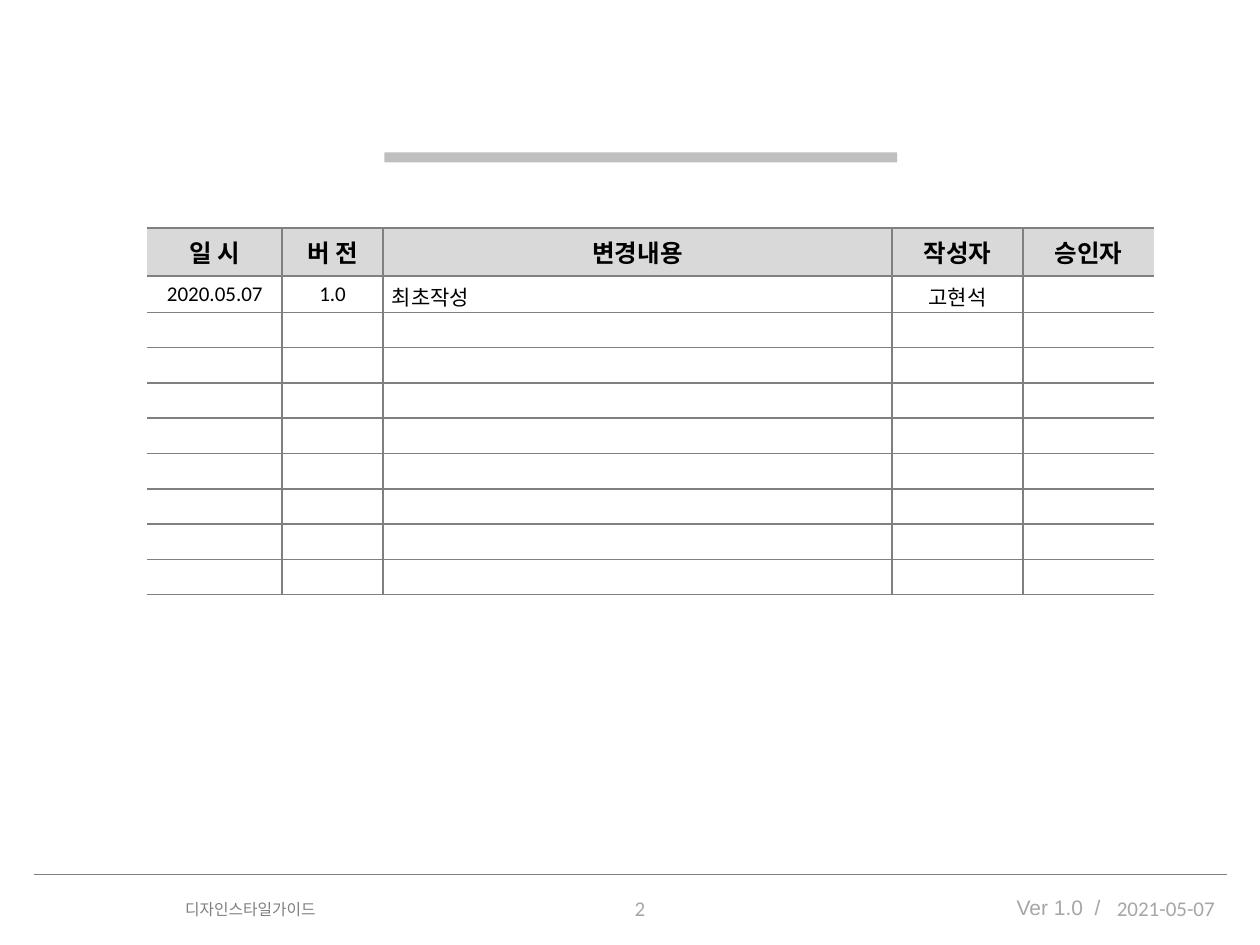
from lxml import etree
from pptx import Presentation
from pptx.dml.color import RGBColor
from pptx.enum.shapes import MSO_CONNECTOR, MSO_SHAPE
from pptx.enum.text import MSO_ANCHOR, PP_ALIGN
from pptx.oxml.ns import qn
from pptx.util import Inches, Pt

LEFT, CENTER, RIGHT = PP_ALIGN.LEFT, PP_ALIGN.CENTER, PP_ALIGN.RIGHT
TOP, MIDDLE = MSO_ANCHOR.TOP, MSO_ANCHOR.MIDDLE
RECTANGLE = MSO_SHAPE.RECTANGLE
STRAIGHT = MSO_CONNECTOR.STRAIGHT

GRAY = "808080"
PALE_GRAY = "A6A6A6"
COLUMN_WIDTHS = [1.07, 0.8, 4.04, 1.04, 1.04]
ROW_HEIGHTS = [0.38, 0.29] + [0.24] * 8
HISTORY = [
    ["일 시", "버 전", "변경내용", "작성자", "승인자"],
    ["2020.05.07", "1.0", "최초작성", "고현석", ""],
]


def color(value):
    return RGBColor.from_string(value)


def format_text(paragraph, size, hue, font="Calibri", bold=False, align=LEFT):
    paragraph.alignment = align
    for span in paragraph.runs:
        span.font.size = Pt(size)
        span.font.name = font
        span.font.bold = bold
        span.font.color.rgb = color(hue)


def add_text(page, text, area, size, hue, font="Calibri", align=LEFT, anchor=TOP):
    box = page.shapes.add_textbox(*map(Inches, area))
    frame = box.text_frame
    frame.word_wrap = True
    frame.vertical_anchor = anchor
    frame.text = text
    format_text(frame.paragraphs[0], size, hue, font, align=align)


def add_bar(page, area, hue, opacity):
    bar = page.shapes.add_shape(RECTANGLE, *map(Inches, area))
    bar.shadow.inherit = False
    bar.fill.solid()
    bar.fill.fore_color.rgb = color(hue)
    bar.line.fill.background()
    fill = bar.fill._xPr.find(qn("a:solidFill"))
    etree.SubElement(fill[0], qn("a:alpha"), val=str(opacity * 1000))


def add_rule(page, left, right, top):
    rule = page.shapes.add_connector(STRAIGHT, *map(Inches, (left, top, right, top)))
    rule.line.color.rgb = color(GRAY)
    rule.line.width = Pt(0.5)
    etree.SubElement(rule._element.spPr, qn("a:effectLst"))


def add_border(cell, side, visible):
    properties = cell._tc.get_or_add_tcPr()
    border = etree.SubElement(properties, qn("a:" + side), w=str(Pt(1)))
    if visible:
        fill = etree.SubElement(border, qn("a:solidFill"))
        etree.SubElement(fill, qn("a:srgbClr"), val=GRAY)
    else:
        etree.SubElement(border, qn("a:noFill"))


def fill_cell(cell, text, header, column):
    last = len(COLUMN_WIDTHS) - 1
    for side, visible in (("lnL", column > 0), ("lnR", column < last), ("lnT", True), ("lnB", True)):
        add_border(cell, side, visible)
    cell.fill.solid()
    cell.fill.fore_color.rgb = color("D9D9D9" if header else "FFFFFF")
    cell.vertical_anchor = MIDDLE
    cell.margin_left = cell.margin_right = Inches(0.07)
    cell.margin_top = cell.margin_bottom = Inches(0.04)
    paragraph = cell.text_frame.paragraphs[0]
    if text:
        paragraph.text = text
        align = CENTER if header or column != 2 else LEFT
        format_text(paragraph, 14 if header else 12, "000000", bold=header, align=align)
    else:
        ending = etree.SubElement(paragraph._p, qn("a:endParaRPr"), sz="1200")
        etree.SubElement(ending, qn("a:latin"), typeface="Calibri")


def add_history(page):
    rows, columns = len(ROW_HEIGHTS), len(COLUMN_WIDTHS)
    area = (1.17, 1.81, sum(COLUMN_WIDTHS), sum(ROW_HEIGHTS))
    table = page.shapes.add_table(rows, columns, *map(Inches, area)).table
    table.first_row = False
    table.horz_banding = False
    for column, width in zip(table.columns, COLUMN_WIDTHS):
        column.width = Inches(width)
    for row, height in zip(table.rows, ROW_HEIGHTS):
        row.height = Inches(height)
    for row in range(rows):
        texts = HISTORY[row] if row < len(HISTORY) else [""] * columns
        for column, text in enumerate(texts):
            fill_cell(table.cell(row, column), text, row == 0, column)


def main():
    deck = Presentation()
    deck.slide_width, deck.slide_height = Inches(10), Inches(7.5)
    page = deck.slides.add_slide(deck.slide_layouts[6])
    add_bar(page, (3.05, 1.21, 4.07, 0.08), "A5A5A5", 70)
    add_rule(page, 0.27, 9.74, 6.94)
    add_text(page, "2", (3.58, 7.06, 3, 0.31), 12, PALE_GRAY, align=CENTER)
    add_history(page)
    add_text(page, "2021-05-07", (8.7, 7.08, 1.04, 0.25), 12, PALE_GRAY, align=RIGHT, anchor=MIDDLE)
    add_text(page, "디자인스타일가이드", (1.37, 7.09, 2.91, 0.25), 9, GRAY)
    add_text(page, "Ver 1.0  /", (7.97, 7.05, 1.11, 0.3), 12, PALE_GRAY, font="Arial")
    deck.save("out.pptx")


main()
